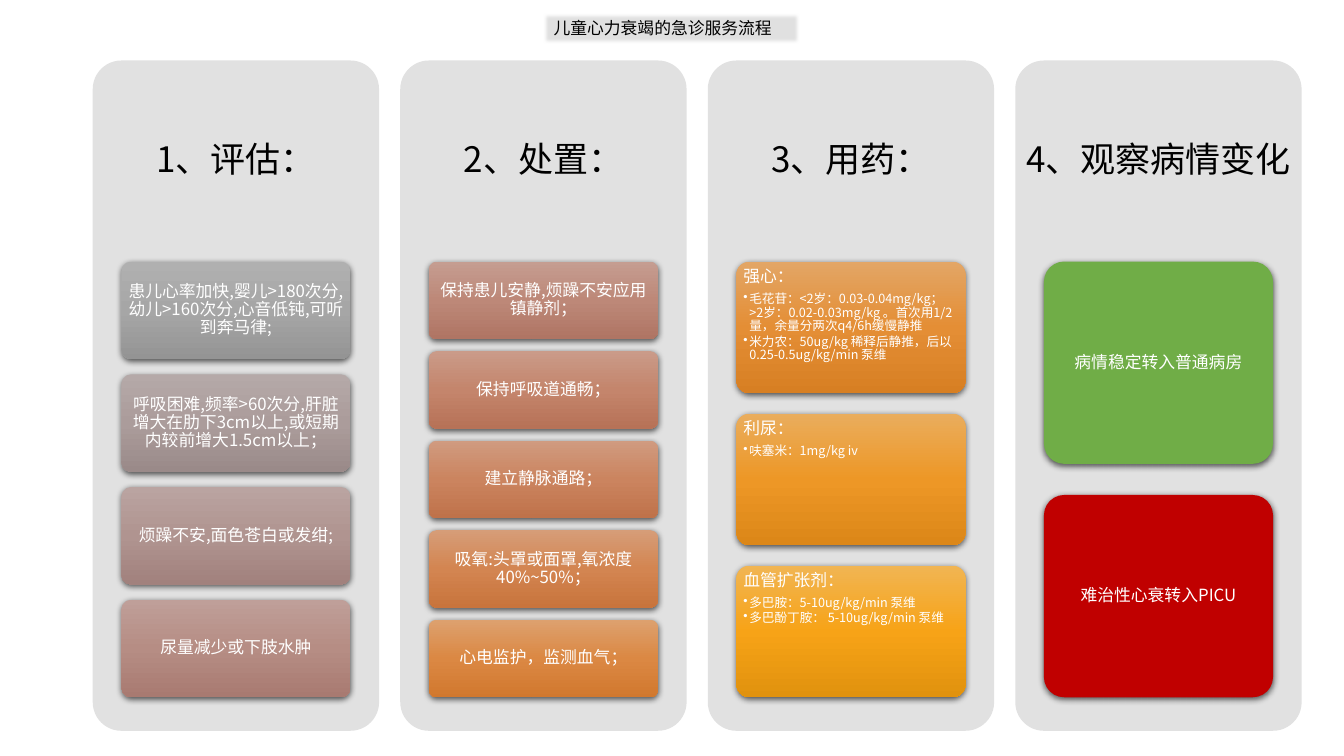
from colorsys import hls_to_rgb
from dataclasses import dataclass
from lxml.etree import SubElement
from pptx import Presentation
from pptx.dml.color import RGBColor
from pptx.enum.lang import MSO_LANGUAGE_ID as Lang
from pptx.enum.shapes import MSO_SHAPE as Shape
from pptx.enum.text import MSO_ANCHOR as Anchor, MSO_AUTO_SIZE as AutoSize, PP_ALIGN as Align
from pptx.oxml.ns import qn
from pptx.util import Inches, Pt


@dataclass(frozen=True)
class Theme:
    font: str = "Noto Sans CJK SC"
    ink: str = "000000"
    light: str = "FFFFFF"
    panel: str = "E1E1E1"
    stable: str = "70AD47"
    severe: str = "C00000"
    heading: int = 25
    body: int = 12
    detail: int = 9


theme = Theme()


def style(paragraph, size, color, align, after):
    paragraph.alignment = align
    paragraph.line_spacing = 0.9
    paragraph.space_after = Pt(size * after)
    for run in paragraph.runs:
        run.font.size = Pt(size)
        run.font.bold = False
        run.font.color.rgb = RGBColor.from_string(color)
        run.font.name = theme.font
        run.font.language_id = Lang.SIMPLIFIED_CHINESE
        SubElement(run.font._element, qn("a:ea"), typeface=theme.font)


def add_effect(shape, tag, **attributes):
    shape.shadow.inherit = False
    effects = shape._element.spPr.find(qn("a:effectLst"))
    return SubElement(effects, qn(tag), **attributes)


stages = [
    ("1、评估：", [
        "患儿心率加快,婴儿>180次分,幼儿>160次分,心音低钝,可听到奔马律;",
        "呼吸困难,频率>60次分,肝脏增大在肋下3cm以上,或短期内较前增大1.5cm以上；",
        "烦躁不安,面色苍白或发绀;",
        "尿量减少或下肢水肿",
    ]),
    ("2、处置：", [
        "保持患儿安静,烦躁不安应用镇静剂；",
        "保持呼吸道通畅；",
        "建立静脉通路；",
        "吸氧:头罩或面罩,氧浓度40%~50%；",
        "心电监护，监测血气；",
    ]),
    ("3、用药：", [
        "强心：\n毛花苷：<2岁：0.03-0.04mg/kg；>2岁：0.02-0.03mg/kg 。首次用1/2量，余量分两次q4/6h缓慢静推"
        "\n米力农：50ug/kg 稀释后静推，后以0.25-0.5ug/kg/min 泵维",
        "利尿：\n呋塞米：1mg/kg iv",
        "血管扩张剂：\n多巴胺：5-10ug/kg/min 泵维\n多巴酚丁胺： 5-10ug/kg/min 泵维",
    ]),
    ("4、观察病情变化", ["病情稳定转入普通病房", "难治性心衰转入PICU"]),
]
outcome_colors = [theme.stable, theme.severe]

deck = Presentation()
deck.slide_width, deck.slide_height = Inches(13.33), Inches(7.5)
slide = deck.slides.add_slide(deck.slide_layouts[5])

title = slide.shapes.title
title.left, title.top, title.width, title.height = Inches(5.39), Inches(0.13), Inches(2.54), Inches(0.3)
title.fill.solid()
title.fill.fore_color.rgb = RGBColor.from_string(theme.panel)
add_effect(title, "a:softEdge", rad="31750")
title.text_frame.text = "儿童心力衰竭的急诊服务流程"
title.text_frame.auto_size = AutoSize.NONE
title.text_frame.vertical_anchor = Anchor.MIDDLE
style(title.text_frame.paragraphs[0], theme.body, theme.ink, Align.LEFT, 0)
title.text_frame.paragraphs[0].line_spacing = 1

panel_left, panel_top = Inches(0.92), Inches(0.6)
panel_width, panel_height = Inches(2.84), Inches(6.65)
column_pitch = Inches(3.05)
heading_height = int(panel_height * 0.3)
stack_height = panel_height * 0.65
gap_share = 2 / 13
tint_step = 0

for column, (heading, cards) in enumerate(stages):
    left = panel_left + column * column_pitch
    panel = slide.shapes.add_shape(Shape.ROUNDED_RECTANGLE, left, panel_top, panel_width, panel_height)
    panel.adjustments[0] = 0.1
    panel.fill.solid()
    panel.fill.fore_color.rgb = RGBColor.from_string(theme.panel)
    panel.line.fill.background()
    panel.shadow.inherit = False

    stage_name = slide.shapes.add_textbox(left, panel_top, panel_width, heading_height).text_frame
    stage_name.word_wrap = True
    stage_name.vertical_anchor = Anchor.MIDDLE
    stage_name.text = heading
    style(stage_name.paragraphs[0], theme.heading, theme.ink, Align.CENTER, 0.35)

    card_height = stack_height / (len(cards) + (len(cards) - 1) * gap_share)
    for row, wording in enumerate(cards):
        card_top = panel_top + heading_height + row * card_height * (1 + gap_share)
        card = slide.shapes.add_shape(
            Shape.ROUNDED_RECTANGLE, left + int(panel_width * 0.1), int(card_top),
            int(panel_width * 0.8), int(card_height))
        card.adjustments[0] = 0.1
        if column == len(stages) - 1:
            card.fill.solid()
            card.fill.fore_color.rgb = RGBColor.from_string(outcome_colors[row])
        else:
            gradient = SubElement(card._element.spPr, qn("a:gradFill"), rotWithShape="1")
            stops = SubElement(gradient, qn("a:gsLst"))
            SubElement(gradient, qn("a:lin"), ang="5400000", scaled="0")
            for position, light, fade, strength in [
                (0, 0.69, 0.005, 0.077), (50, 0.65, 0.011, 0.085), (100, 0.58, 0.01, 0.08),
            ]:
                rgb = hls_to_rgb(tint_step * 3.4 / 360, light - fade * tint_step, strength * tint_step)
                stop = SubElement(stops, qn("a:gs"), pos=str(position * 1000))
                SubElement(stop, qn("a:srgbClr"), val="".join(f"{round(part * 255):02X}" for part in rgb))
            tint_step += 1
        card.line.fill.background()
        shadow = add_effect(card, "a:outerShdw", blurRad="57150", dist="19050", dir="5400000",
                            algn="ctr", rotWithShape="0")
        shade = SubElement(shadow, qn("a:srgbClr"), val=theme.ink)
        SubElement(shade, qn("a:alpha"), val="63000")

        frame = card.text_frame
        frame.word_wrap = True
        frame.margin_left = frame.margin_right = frame.margin_top = frame.margin_bottom = Inches(0.03)
        frame.text = wording
        lead, *doses = frame.paragraphs
        frame.vertical_anchor = Anchor.TOP if doses else Anchor.MIDDLE
        style(lead, theme.body, theme.light, Align.LEFT if doses else Align.CENTER, 0.35)
        for dose in doses:
            frame.margin_right = Inches(0.05)
            dose.level = 1
            style(dose, theme.detail, theme.light, Align.LEFT, 0.15)
            properties = dose._p.get_or_add_pPr()
            properties.set("marL", str(Inches(0.06)))
            properties.set("indent", str(-Inches(0.06)))
            SubElement(properties, qn("a:buChar"), char="•")

deck.save("out.pptx")
